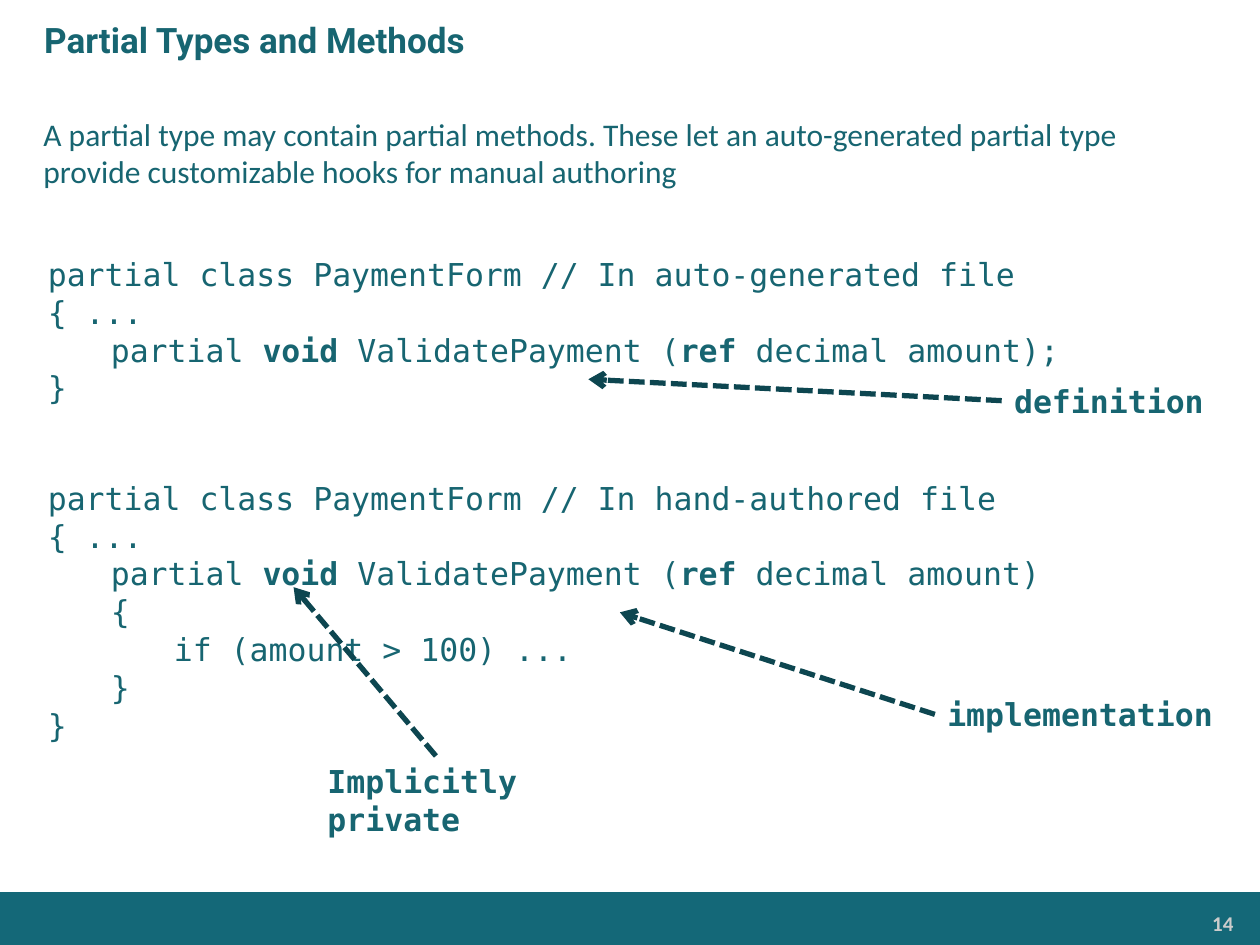
from pptx import Presentation
from pptx.util import Inches, Pt
from pptx.dml.color import RGBColor
from pptx.enum.dml import MSO_LINE as Dash
from pptx.enum.shapes import MSO_SHAPE as Shape, MSO_CONNECTOR as Link
from pptx.enum.text import MSO_ANCHOR as Anchor, MSO_AUTO_SIZE as Fit, PP_ALIGN as Align
from pptx.oxml.ns import qn
from lxml.etree import SubElement

COLORS = {"text": "176571", "bar": "146878", "arrow": "0D4650", "page": "CCCCCC"}
MONO = "DejaVu Sans Mono"


def color(name):
    return RGBColor.from_string(COLORS[name])


def style(run, face, size=18, bold=False, tone="text"):
    font = run.font
    font.name, font.size, font.bold = face, Pt(size), bold
    font.color.rgb = color(tone)


def inset(frame, x, y):
    frame.margin_left = frame.margin_right = Inches(x)
    frame.margin_top = frame.margin_bottom = Inches(y)


def add_panel(slide, kind, box):
    panel = slide.shapes.add_shape(kind, *map(Inches, box))
    panel.shadow.inherit = False
    panel.fill.background()
    panel.line.fill.background()
    frame = panel.text_frame
    frame.word_wrap = True
    frame.vertical_anchor = Anchor.MIDDLE
    inset(frame, 0.13, 0.06)
    return panel


def add_text(slide, box, text, face, size=18, tone="text"):
    label = slide.shapes.add_textbox(*map(Inches, box))
    frame = label.text_frame
    frame.word_wrap = True
    frame.auto_size = Fit.SHAPE_TO_FIT_TEXT
    frame.text = text
    style(frame.paragraphs[0].runs[0], face, size, True, tone)
    return label


def add_footer(slide, box, page):
    x, y, w, h = box
    bar = add_panel(slide, Shape.RECTANGLE, box)
    bar.fill.solid()
    bar.fill.fore_color.rgb = color("bar")
    label = add_text(slide, (x + w - 1.78, y + 0.11, 1.63, 0.28), page, "Calibri", 12, "page")
    inset(label.text_frame, 0.07, 0.04)
    label.text_frame.paragraphs[0].alignment = Align.RIGHT


def add_title(slide, box, text):
    title = slide.shapes.title
    title.left, title.top, title.width, title.height = map(Inches, box)
    frame = title.text_frame
    frame.text = text
    frame.vertical_anchor = Anchor.MIDDLE
    para = frame.paragraphs[0]
    para.alignment = Align.LEFT
    para._p.get_or_add_pPr().set("marL", str(Inches(0.25)))
    style(para.runs[0], "Roboto", 20, True)


def add_intro(slide, box, text):
    frame = add_panel(slide, Shape.ROUNDED_RECTANGLE, box).text_frame
    frame.text = text
    frame.paragraphs[0].alignment = Align.LEFT
    style(frame.paragraphs[0].runs[0], "Calibri")


def add_code(slide, box, lines):
    frame = add_panel(slide, Shape.FLOWCHART_DOCUMENT, box).text_frame
    for i, line in enumerate(lines):
        para = frame.add_paragraph() if i else frame.paragraphs[0]
        para.alignment = Align.LEFT
        for j, part in enumerate(line.split("*")):
            run = para.add_run()
            run.text = part
            style(run, MONO, bold=j % 2 == 1)


def add_note(slide, box, text, tip, start=None):
    x, y, w, h = box
    label = add_text(slide, box, text, MONO)
    begin = start or (x, y + h / 2)
    arrow = slide.shapes.add_connector(Link.STRAIGHT, *map(Inches, begin + tip))
    if not start:
        arrow.begin_connect(label, 1)
    arrow.line.color.rgb = color("arrow")
    arrow.line.width = Pt(3)
    arrow.line.dash_style = Dash.SQUARE_DOT
    SubElement(arrow.line._get_or_add_ln(), qn("a:tailEnd"), type="arrow")
    SubElement(arrow._element.spPr, qn("a:effectLst"))


def main():
    deck = Presentation()
    deck.slide_width, deck.slide_height = Inches(10), Inches(7.5)
    slide = deck.slides.add_slide(deck.slide_layouts[5])
    add_footer(slide, (0, 7.08, 10.01, 0.43), "14")
    add_title(slide, (0, 0, 10, 0.63), "Partial Types and Methods")
    add_intro(slide, (0.17, 0.75, 9.58, 0.92),
              "A partial type may contain partial methods. These let an auto-generated "
              "partial type provide customizable hooks for manual authoring")

    head = "partial class PaymentForm // In {} file"
    call = "\tpartial *void *ValidatePayment (*ref* decimal amount)"
    add_code(slide, (0.25, 1.87, 9.5, 1.88),
             [head.format("auto-generated"), "{ ...", call + ";", "}"])
    add_code(slide, (0.25, 3.58, 9.5, 3.17),
             [head.format("hand-authored"), "{ ...", call, "\t{",
              "\t\tif (amount > 100) ...", "\t}", "}"])

    add_note(slide, (7.95, 2.98, 1.8, 0.4), "definition", (4.67, 3.01))
    add_note(slide, (7.42, 5.47, 2.46, 0.4), "implementation", (4.92, 4.86))
    add_note(slide, (2.5, 6, 2.69, 0.4), "Implicitly private", (2.33, 4.66), (3.46, 6))
    deck.save("out.pptx")


if __name__ == "__main__":
    main()
